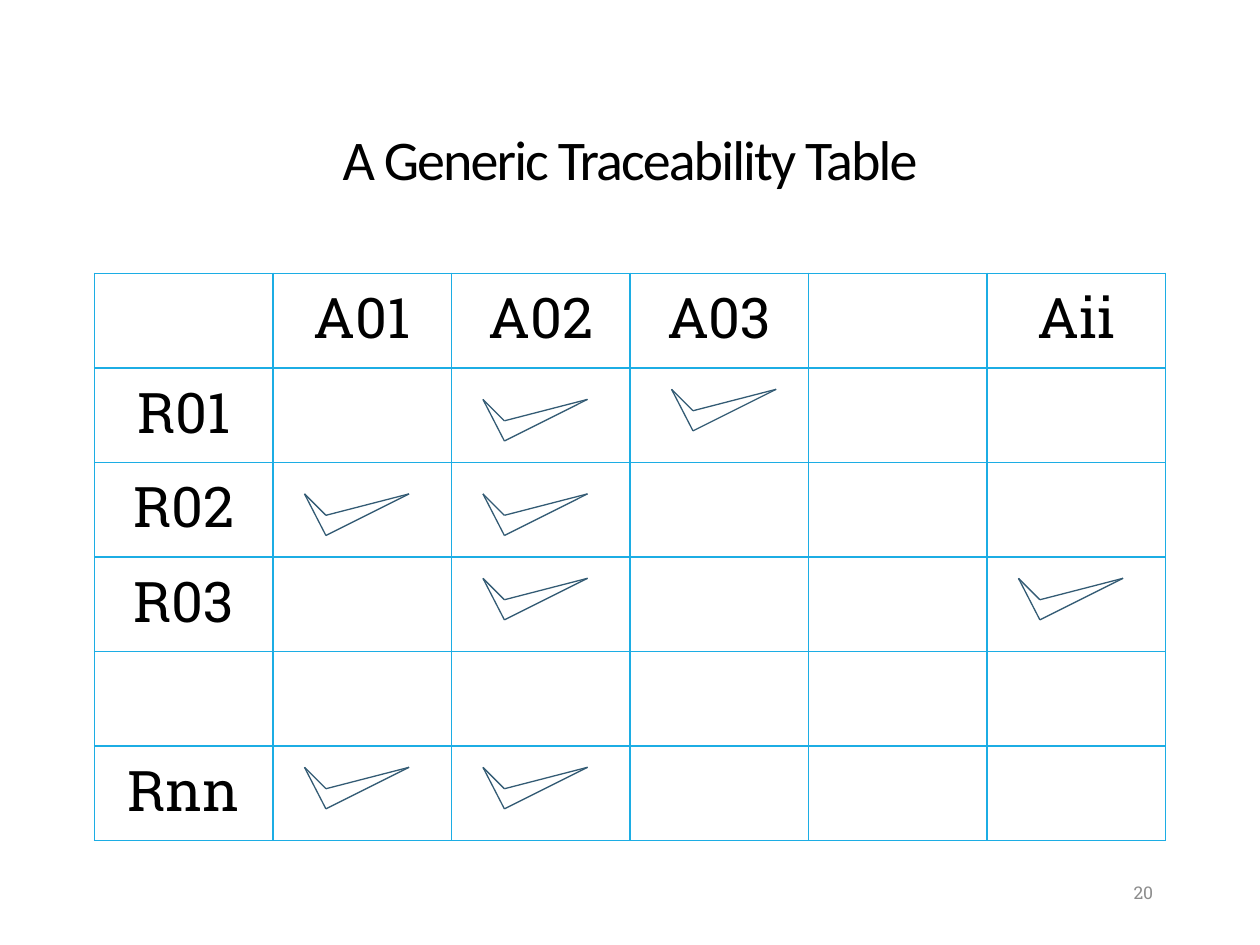
from dataclasses import dataclass

from lxml import etree
from pptx import Presentation
from pptx.dml.color import RGBColor
from pptx.enum.shapes import MSO_CONNECTOR
from pptx.enum.text import MSO_ANCHOR, PP_ALIGN
from pptx.oxml.ns import qn
from pptx.util import Inches, Pt

CENTER, RIGHT = PP_ALIGN.CENTER, PP_ALIGN.RIGHT
MIDDLE = MSO_ANCHOR.MIDDLE
STRAIGHT = MSO_CONNECTOR.STRAIGHT


@dataclass(frozen=True)
class Theme:
    title_font: str = "Calibri"
    body_font: str = "Roboto Slab"
    text: str = "000000"
    muted: str = "8C8C8C"
    grid: str = "1CADE4"
    check: str = "335B74"
    large: int = 32
    small: int = 10
    title_tracking: float = -1.1
    grid_width: float = 1
    check_width: float = 0.75


@dataclass(frozen=True)
class Check:
    """A tick in a table cell, offset from the cell's top left corner."""
    row: int
    col: int
    dx: float
    dy: float


THEME = Theme()
LEFT, TOP, WIDTH, HEIGHT = 0.75, 2.17, 8.5, 4.5
COLUMNS = ["", "A01", "A02", "A03", "", "Aii"]
ROWS = ["", "R01", "R02", "R03", "", "Rnn"]
COL_W, ROW_H = WIDTH / len(COLUMNS), HEIGHT / len(ROWS)
CHECKS = [
    Check(1, 2, 0.25, 0.25),
    Check(1, 3, 0.33, 0.17),
    Check(2, 2, 0.25, 0.25),
    Check(2, 1, 0.25, 0.25),
    Check(3, 2, 0.25, 0.17),
    Check(3, 5, 0.25, 0.17),
    Check(5, 2, 0.25, 0.17),
    Check(5, 1, 0.25, 0.17),
]
# Corners of a tick: left tip, inner bend, lower bend, right tip
TIP, INNER, LOWER, END = (0, 0), (0.17, 0.17), (0.17, 0.33), (0.83, 0)
STROKES = [(TIP, INNER), (TIP, LOWER), (LOWER, END), (INNER, END)]


def add_run(p, text: str, font: str, size: float, color: str):
    r = p.add_run()
    r.text = text
    r.font.name = font
    r.font.size = Pt(size)
    r.font.bold = False
    r.font.color.rgb = RGBColor.from_string(color)
    return r


def add_title(s, text: str) -> None:
    sp = s.shapes.title
    sp.left, sp.top = Inches(0.75), Inches(0.67)
    sp.width, sp.height = Inches(8.5), Inches(1.25)
    tf = sp.text_frame
    tf.vertical_anchor = MIDDLE
    tf.margin_left = tf.margin_right = Inches(0.25)
    tf.margin_top = tf.margin_bottom = Inches(0.25)
    p = tf.paragraphs[0]
    p.alignment = CENTER
    p.line_spacing = 0.85
    r = add_run(p, text, THEME.title_font, THEME.large, THEME.text)
    r.font._element.set("spc", str(round(THEME.title_tracking * 100)))


def add_borders(cell) -> None:
    """Put the four border lines ahead of the cell's fill, as the schema asks."""
    tc_pr = cell._tc.get_or_add_tcPr()
    for i, side in enumerate(("a:lnL", "a:lnR", "a:lnT", "a:lnB")):
        ln = etree.Element(qn(side), w=str(Pt(THEME.grid_width)))
        fill = etree.SubElement(ln, qn("a:solidFill"))
        etree.SubElement(fill, qn("a:srgbClr"), val=THEME.grid)
        tc_pr.insert(i, ln)


def add_trace_table(s) -> None:
    table = s.shapes.add_table(len(ROWS), len(COLUMNS), Inches(LEFT), Inches(TOP),
                               Inches(WIDTH), Inches(HEIGHT)).table
    table.first_row = table.horz_banding = False
    for column in table.columns:
        column.width = Inches(COL_W)
    for i, row in enumerate(table.rows):
        row.height = Inches(ROW_H)
        for j, cell in enumerate(row.cells):
            cell.fill.background()
            add_borders(cell)
            label = COLUMNS[j] if i == 0 else ROWS[i] if j == 0 else ""
            if label:
                p = cell.text_frame.paragraphs[0]
                p.alignment = CENTER
                add_run(p, label, THEME.body_font, THEME.large, THEME.text)


def add_check(s, check: Check) -> None:
    x = LEFT + check.col * COL_W + check.dx
    y = TOP + check.row * ROW_H + check.dy
    group = s.shapes.add_group_shape()
    for (x1, y1), (x2, y2) in STROKES:
        line = group.shapes.add_connector(STRAIGHT, Inches(x + x1), Inches(y + y1),
                                          Inches(x + x2), Inches(y + y2))
        line.line.color.rgb = RGBColor.from_string(THEME.check)
        line.line.width = Pt(THEME.check_width)
        etree.SubElement(line._element.spPr, qn("a:effectLst"))


def add_page_number(s, number: str) -> None:
    sp = s.shapes.add_textbox(Inches(7.17), Inches(6.83), Inches(2.08), Inches(0.5))
    tf = sp.text_frame
    tf.word_wrap = True
    tf.vertical_anchor = MIDDLE
    p = tf.paragraphs[0]
    p.alignment = RIGHT
    add_run(p, number, THEME.body_font, THEME.small, THEME.muted)


def main() -> None:
    prs = Presentation()
    prs.slide_width, prs.slide_height = Inches(10), Inches(7.5)
    s = prs.slides.add_slide(prs.slide_layouts.get_by_name("Title Only"))
    add_title(s, "A Generic Traceability Table")
    add_trace_table(s)
    add_page_number(s, "20")
    for check in CHECKS:
        add_check(s, check)
    prs.save("out.pptx")


if __name__ == "__main__":
    main()
